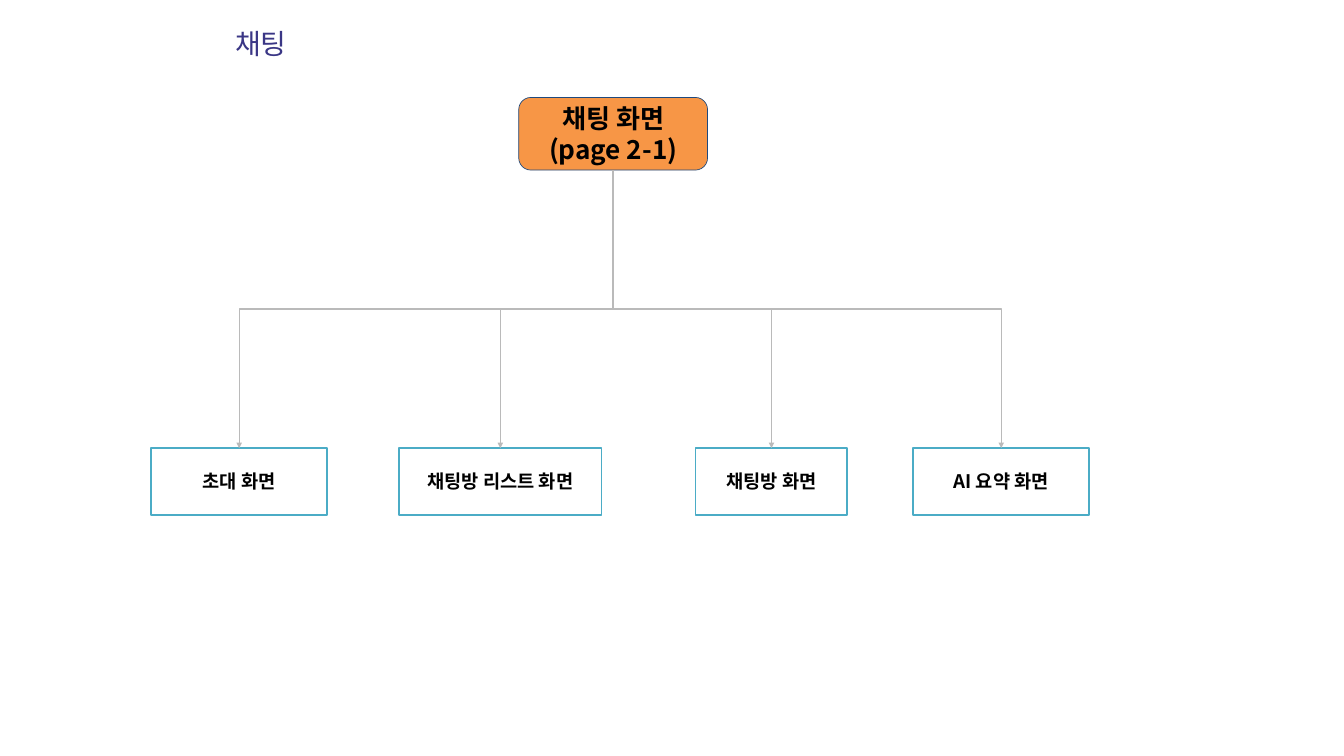
"""Build a slide with the screen hierarchy of the chat feature."""
from lxml import etree
from pptx import Presentation
from pptx import util as u
from pptx.dml import color
from pptx.enum import shapes, text
from pptx.oxml import ns

COLORS = {
    "title": "3A3685", "text": "000000", "white": "FFFFFF", "orange": "F79646",
    "navy": "1F497D", "teal": "4BACC6", "grey": "BABABA",
}
SCREENS = [
    ("초대 화면", 162, 188.6),
    ("채팅방 리스트 화면", 427.7, 216.7),
    ("채팅방 화면", 745.2, 162.7),
    ("AI 요약 화면", 978.5, 188.6),
]


class Deck:
    """Hold the style and the current slide."""

    font = "Noto Sans CJK KR"
    inset = 7.2

    def __init__(self, width, height):
        self.prs = Presentation()
        self.prs.slide_width, self.prs.slide_height = u.Pt(width), u.Pt(height)
        self.s = self.prs.slides.add_slide(self.prs.slide_layouts[5])

    def rgb(self, name):
        return color.RGBColor.from_string(COLORS[name])

    def label(self, sp, words, size, name, align, inset, bold=False):
        tf = sp.text_frame
        tf.text = words
        tf.word_wrap = True
        tf.auto_size = text.MSO_AUTO_SIZE.NONE
        tf.vertical_anchor = text.MSO_ANCHOR.MIDDLE
        tf.margin_left = tf.margin_right = u.Pt(inset)
        tf.margin_top = tf.margin_bottom = u.Pt(inset)
        for p in tf.paragraphs:
            p.alignment = align
            f = p.font
            f.name, f.size, f.bold = self.font, u.Pt(size), bold
            f.color.rgb = self.rgb(name)
            etree.SubElement(f._rPr, ns.qn("a:ea"), typeface=self.font)

    def title(self, words, x, y, w, h):
        sp = self.s.shapes.title
        sp.left, sp.top, sp.width, sp.height = map(u.Pt, (x, y, w, h))
        self.label(sp, words, 30, "title", text.PP_ALIGN.LEFT, 0)

    def box(self, kind, words, x, y, w, h, size, fill, line, weight):
        sp = self.s.shapes.add_shape(kind, *map(u.Pt, (x, y, w, h)))
        sp.shadow.inherit = False
        sp.fill.solid()
        sp.fill.fore_color.rgb = self.rgb(fill)
        sp.line.color.rgb = self.rgb(line)
        sp.line.width = u.Pt(weight)
        self.label(sp, words, size, "text", text.PP_ALIGN.CENTER, self.inset, True)
        return sp

    def branch(self, parent, child):
        x1, y1 = parent.left + parent.width // 2, parent.top + parent.height
        x2, y2 = child.left + child.width // 2, child.top
        c = self.s.shapes.add_connector(shapes.MSO_CONNECTOR.ELBOW, x1, y1, x2, y2)
        c.begin_connect(parent, 2)
        c.end_connect(child, 0)
        c.width, c.height = y2 - y1, abs(x2 - x1)
        c.left = (x1 + x2 - c.width) // 2
        c.top = (y1 + y2 - c.height) // 2
        spPr = c._element.spPr
        spPr.xfrm.flipH = x2 > x1
        spPr.xfrm.rot = 270 if x2 > x1 else 90
        c.line.color.rgb = self.rgb("grey")
        c.line.width = u.Pt(1.5)
        etree.SubElement(spPr.find(ns.qn("a:ln")), ns.qn("a:tailEnd"), type="triangle")
        etree.SubElement(spPr, ns.qn("a:effectLst"))


def main():
    deck = Deck(1440, 810)
    deck.title("채팅", 252, 30.2, 504.7, 31.7)
    shape = shapes.MSO_SHAPE
    root = deck.box(shape.FLOWCHART_ALTERNATE_PROCESS, "채팅 화면\n(page 2-1)",
                    555.8, 104.4, 202.3, 77.8, 28, "orange", "navy", 0.75)
    for words, x, w in SCREENS:
        screen = deck.box(shape.FLOWCHART_PROCESS, words, x, 480.2, w, 71.3,
                          20, "white", "teal", 2)
        deck.branch(root, screen)
    deck.prs.save("out.pptx")


if __name__ == "__main__":
    main()
